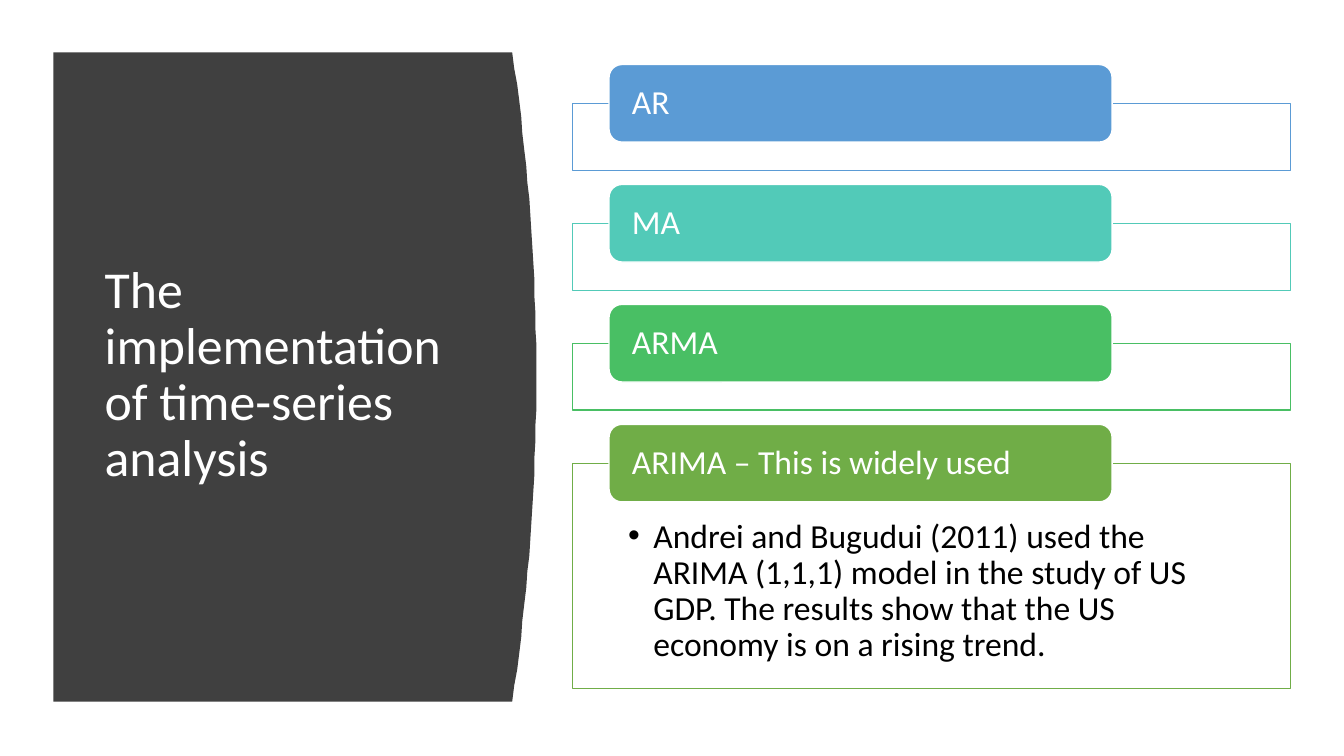
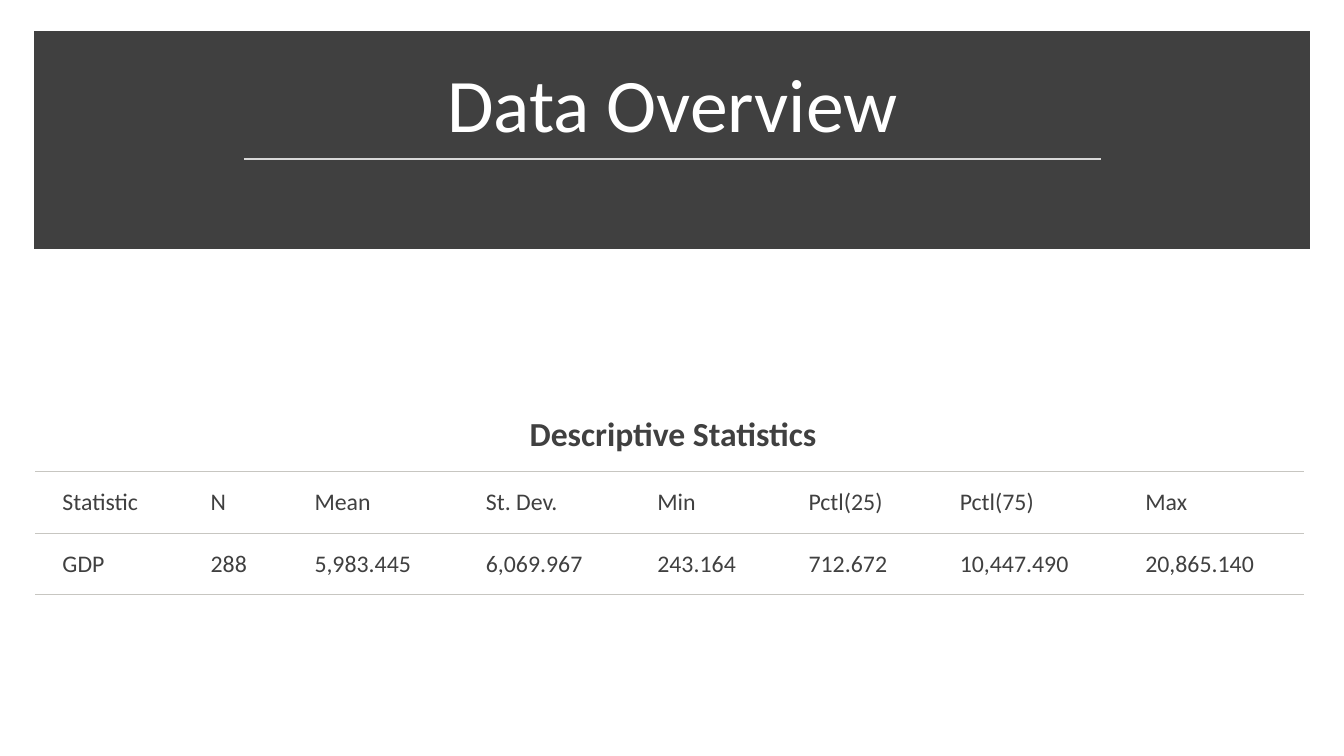
from lxml.etree import SubElement
from pptx import Presentation
from pptx.dml.color import RGBColor
from pptx.enum.shapes import MSO_CONNECTOR, MSO_SHAPE
from pptx.enum.text import MSO_ANCHOR, PP_ALIGN
from pptx.oxml import parse_xml
from pptx.oxml.ns import nsdecls, qn
from pptx.util import Pt

PX = 9144  # one px is a hundredth of an inch
FONT = "Calibri"
COLORS = {
    "white": "FFFFFF",
    "black": "000000",
    "panel": "404040",
    "title_rule": "D9D9D9",
    "table_rule": "C7C6C1",
    "ar": "5B9BD5",
    "ma": "52CAB8",
    "arma": "49BF64",
    "arima": "70AD47",
}

MODELS = [
    ("ar", "AR", ""),
    ("ma", "MA", ""),
    ("arma", "ARMA", ""),
    ("arima", "ARIMA – This is widely used",
     "Andrei and Bugudui (2011) used the ARIMA (1,1,1) model in the study of "
     "US GDP. The results show that the US economy is on a rising trend."),
]
STATISTICS = [
    ["Statistic", "N", "Mean", "St. Dev.", "Min", "Pctl(25)", "Pctl(75)", "Max"],
    ["GDP", "288", "5,983.445", "6,069.967", "243.164", "712.672",
     "10,447.490", "20,865.140"],
]
COLUMN_WIDTHS = [147, 103, 170, 170, 150, 150, 184, 184]
ROW_HEIGHTS = [72, 61, 61]


def emu(*lengths):
    return [length * PX for length in lengths]


def rgb(name):
    return RGBColor.from_string(COLORS[name])


def apply(target, values):
    for name, value in values.items():
        setattr(target, name, value)


# Text and shape formats
def write(frame, text, size, color, align=PP_ALIGN.LEFT, bold=False, spacing=0.9):
    para = frame.paragraphs[0]
    apply(para, {"alignment": align, "line_spacing": spacing})
    span = para.add_run()
    span.text = text
    apply(span.font, {"name": FONT, "size": Pt(size), "bold": bold})
    span.font.color.rgb = rgb(color)
    return para


def set_frame(frame, margins, anchor):
    sides = ("margin_left", "margin_top", "margin_right", "margin_bottom")
    apply(frame, {"word_wrap": True, "vertical_anchor": anchor,
                  **dict(zip(sides, emu(*margins)))})


def paint(shape, fill, line=None, width=1):
    shape.shadow.inherit = False
    shape.fill.solid()
    shape.fill.fore_color.rgb = rgb(fill)
    if line is None:
        shape.line.fill.background()
    else:
        shape.line.color.rgb = rgb(line)
        shape.line.width = Pt(width)


def add_box(page, kind, at, fill, line, width=1):
    box = page.shapes.add_shape(kind, *emu(*at))
    paint(box, fill, line, width)
    return box


def add_title(page, at, text, size, anchor, align=PP_ALIGN.LEFT):
    frame = page.shapes.add_textbox(*emu(*at)).text_frame
    set_frame(frame, (10, 5, 10, 5), anchor)
    write(frame, text, size, "white", align)


def add_bullet(para, indent):
    properties = para._p.get_or_add_pPr()
    properties.set("marL", str(indent * PX))
    properties.set("indent", str(-indent * PX))
    SubElement(properties, qn("a:buFont")).set("typeface", "Arial")
    SubElement(properties, qn("a:buChar")).set("char", "•")


# Panel whose right edge bulges along a parabola
def add_curved_panel(page):
    left, top, bottom, edge, bulge = 53, 52, 696, 508, 24
    middle, half = (top + bottom) / 2, (bottom - top) / 2
    steps = 40
    curve = []
    for step in range(1, steps + 1):
        y = top + (bottom - top) * step / steps
        curve.append((edge + bulge * (1 - ((y - middle) / half) ** 2), y))
    builder = page.shapes.build_freeform(left, top, scale=PX)
    builder.add_line_segments([(edge, top), *curve, (left, bottom)], close=True)
    paint(builder.convert_to_shape(), "panel")


# Outlined frame with a coloured tab over its top edge
def add_model(page, top, color, name, detail):
    height = 223 if detail else 66
    frame_box = add_box(page, MSO_SHAPE.RECTANGLE,
                        (568, top + 39, 712, height), "white", color)
    if detail:
        set_frame(frame_box.text_frame, (55, 55, 55, 19), MSO_ANCHOR.TOP)
        add_bullet(write(frame_box.text_frame, detail, 24, "black"), 25)
    tab = add_box(page, MSO_SHAPE.ROUNDED_RECTANGLE,
                  (604, top, 499, 77), color, "white")
    set_frame(tab.text_frame, (19, 0, 19, 0), MSO_ANCHOR.MIDDLE)
    write(tab.text_frame, name, 24, "white")


def add_rule(page, start, end, color, width):
    rule = page.shapes.add_connector(MSO_CONNECTOR.STRAIGHT, *emu(*start, *end))
    rule.line.color.rgb = rgb(color)
    rule.line.width = Pt(width)
    SubElement(rule._element.spPr, qn("a:effectLst"))


# Statistics table
def set_borders(cell, ruled_sides):
    properties = cell._tc.get_or_add_tcPr()
    for index, side in enumerate("LRTB"):
        if side in ruled_sides:
            paint_xml = ('<a:solidFill><a:srgbClr val="%s"/></a:solidFill>'
                         % COLORS["table_rule"])
        else:
            paint_xml = "<a:noFill/>"
        border = parse_xml('<a:ln%s %s w="%d">%s</a:ln%s>'
                           % (side, nsdecls("a"), Pt(0.75), paint_xml, side))
        properties.insert(index, border)


def fill_cell(cell, text, size, align, bold):
    set_frame(cell.text_frame, (0, 0, 0, 0), MSO_ANCHOR.MIDDLE)
    margins = dict(zip(("margin_left", "margin_top", "margin_right",
                        "margin_bottom"), emu(27, 13, 20, 13)))
    apply(cell, {"vertical_anchor": MSO_ANCHOR.MIDDLE, **margins})
    write(cell.text_frame, text, size, "panel", align, bold, spacing=1.0)


def add_statistics(page, left, top):
    size = emu(left, top, sum(COLUMN_WIDTHS), sum(ROW_HEIGHTS))
    table = page.shapes.add_table(len(ROW_HEIGHTS), len(COLUMN_WIDTHS), *size).table
    apply(table, {"first_row": False, "horz_banding": False})
    for column, width in zip(table.columns, COLUMN_WIDTHS):
        column.width = width * PX
    for row_index, (row, height) in enumerate(zip(table.rows, ROW_HEIGHTS)):
        row.height = height * PX
        for cell in row.cells:
            cell.fill.background()
            set_borders(cell, "TB" if row_index else "B")
    heading = table.cell(0, 0)
    heading.merge(table.cell(0, len(COLUMN_WIDTHS) - 1))
    fill_cell(heading, "Descriptive Statistics", 24, PP_ALIGN.CENTER, True)
    for row_index, values in enumerate(STATISTICS, start=1):
        for column_index, value in enumerate(values):
            fill_cell(table.cell(row_index, column_index), value, 17,
                      PP_ALIGN.LEFT, False)


# Slides
def build_models(page):
    add_curved_panel(page)
    add_title(page, (94, 111, 374, 524),
              "The implementation of time-series analysis", 37, MSO_ANCHOR.MIDDLE)
    for index, model in enumerate(MODELS):
        add_model(page, 64 + 119 * index, *model)


def build_overview(page):
    band = add_box(page, MSO_SHAPE.RECTANGLE, (41, 38, 1251, 202),
                   "panel", "panel", 10)
    SubElement(band.line._get_or_add_ln(), qn("a:miter")).set("lim", "800000")
    add_title(page, (58, 51, 1218, 102), "Data Overview", 54,
              MSO_ANCHOR.BOTTOM, PP_ALIGN.CENTER)
    add_rule(page, (242, 158), (1092, 158), "title_rule", 1.75)
    add_statistics(page, 35, 396)


def main():
    deck = Presentation()
    deck.slide_width, deck.slide_height = emu(1333, 750)
    for build in (build_models, build_overview):
        build(deck.slides.add_slide(deck.slide_layouts[6]))
    deck.save("out.pptx")


if __name__ == "__main__":
    main()
